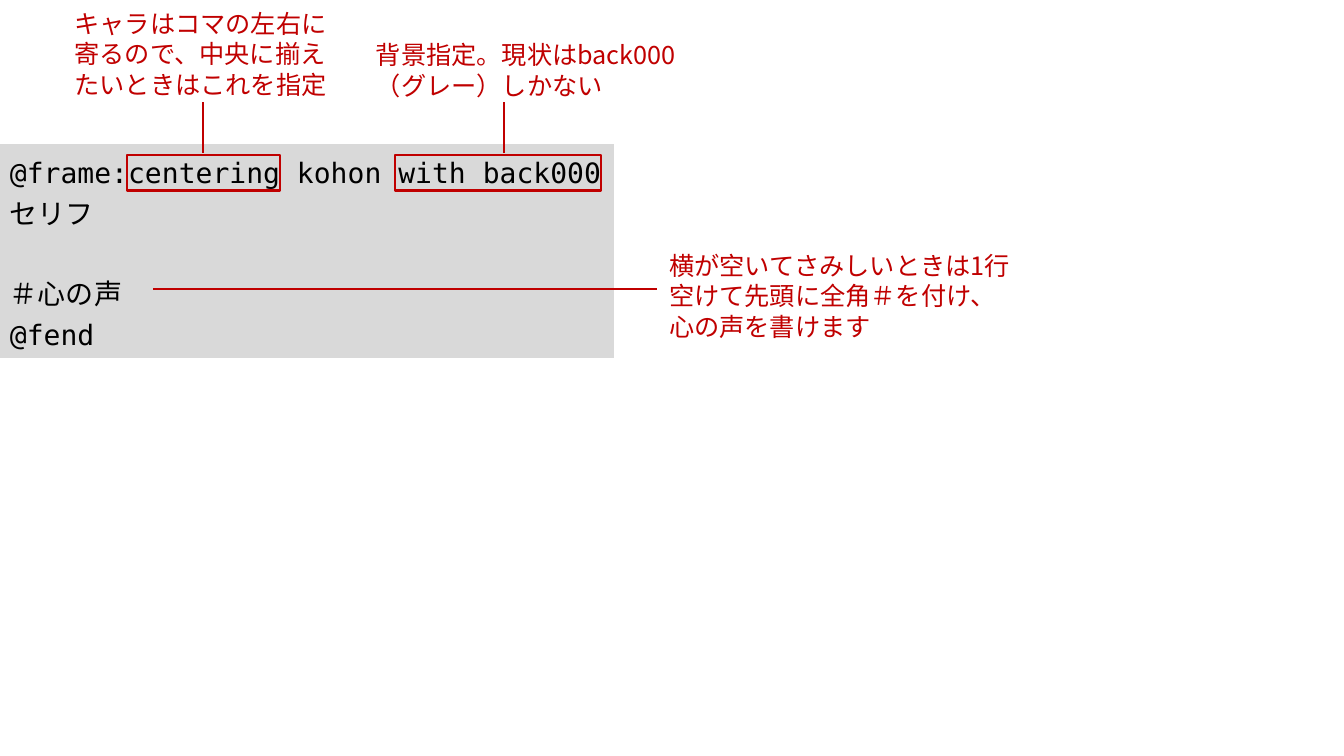
import dataclasses

import pptx
import pptx.dml.color
import pptx.enum.shapes
import pptx.enum.text
import pptx.oxml.ns
import pptx.util

COLORS = {"panel": "D9D9D9", "code": "000000", "accent": "C00000"}
FONTS = {"code": "DejaVu Sans Mono", "japanese": "Noto Sans CJK JP"}
LINE_WIDTH = pptx.util.Pt(1.5)

presentation = pptx.Presentation()
presentation.slide_width = pptx.util.Inches(13.33)
presentation.slide_height = pptx.util.Inches(7.5)
slide = presentation.slides.add_slide(presentation.slide_layouts[6])


@dataclasses.dataclass(frozen=True)
class Area:
    """Left, top, width and height in percent of the slide."""
    left: float
    top: float
    width: float
    height: float

    def lengths(self) -> tuple[int, int, int, int]:
        return (column(self.left), row(self.top),
                column(self.width), row(self.height))


@dataclasses.dataclass(frozen=True)
class Note:
    area: Area
    text: str


@dataclasses.dataclass(frozen=True)
class Leader:
    """Line from the code to its note, in percent of the slide."""
    start: tuple[float, float]
    end: tuple[float, float]


@dataclasses.dataclass(frozen=True)
class TextStyle:
    font: str
    size: float
    spacing: float
    color: str


# At 20 points the first code line fits the panel and its highlights
CODE_STYLE = TextStyle("code", 20, 28.8, "code")
NOTE_STYLE = TextStyle("japanese", 18, 21.8, "accent")

CODE_AREA = Area(0, 19.07, 45.68, 28.27)
CODE_LINES = ["@frame:centering kohon with back000", "セリフ", "＃心の声", "@fend"]
THOUGHT_LINE = 2

NOTES = [
    Note(Area(4.8, 0.4, 21.23, 13.47),
         "キャラはコマの左右に寄るので、中央に揃えたいときはこれを指定"),
    Note(Area(27.23, 4.53, 26.1, 9.47), "背景指定。現状はback000（グレー）しかない"),
    Note(Area(49.05, 32.4, 27.38, 13.47),
         "横が空いてさみしいときは1行空けて先頭に全角＃を付け、心の声を書けます"),
]
HIGHLIGHTS = [Area(9.45, 20.53, 11.4, 4.67), Area(29.4, 20.53, 15.3, 4.67)]
LEADERS = [
    Leader((15.08, 20.27), (15.08, 13.47)),
    Leader((37.5, 20.27), (37.5, 13.47)),
    Leader((11.4, 38.27), (48.9, 38.27)),
]


def column(percent: float) -> int:
    return round(presentation.slide_width * percent / 100)


def row(percent: float) -> int:
    return round(presentation.slide_height * percent / 100)


def color(name: str) -> pptx.dml.color.RGBColor:
    return pptx.dml.color.RGBColor.from_string(COLORS[name])


def apply_format(target: object, values: dict) -> None:
    for name, value in values.items():
        setattr(target, name, value)


def write(shape, lines: list[str], style: TextStyle) -> None:
    frame = shape.text_frame
    apply_format(frame, {
        "text": "\n".join(lines),
        "word_wrap": True,
        "auto_size": pptx.enum.text.MSO_AUTO_SIZE.NONE,
        "vertical_anchor": pptx.enum.text.MSO_ANCHOR.TOP,
    })
    for paragraph in frame.paragraphs:
        apply_format(paragraph, {
            "alignment": pptx.enum.text.PP_ALIGN.LEFT,
            "line_spacing": pptx.util.Pt(style.spacing),
        })
        for run in paragraph.runs:
            apply_format(run.font, {"name": FONTS[style.font],
                                    "size": pptx.util.Pt(style.size)})
            run.font.color.rgb = color(style.color)
            east_asian = pptx.oxml.ns.qn("a:ea")
            latin = run.font._element.find(pptx.oxml.ns.qn("a:latin"))
            element = latin.makeelement(east_asian, {"typeface": FONTS["japanese"]})
            latin.addnext(element)


def add_rectangle(area: Area):
    shape = slide.shapes.add_shape(
        pptx.enum.shapes.MSO_SHAPE.RECTANGLE, *area.lengths())
    shape.shadow.inherit = False
    return shape


def draw_line_format(line) -> None:
    line.color.rgb = color("accent")
    line.width = LINE_WIDTH


def add_highlight(area: Area) -> None:
    shape = add_rectangle(area)
    shape.fill.background()
    draw_line_format(shape.line)


def add_note(note: Note) -> None:
    write(slide.shapes.add_textbox(*note.area.lengths()), [note.text], NOTE_STYLE)


def add_leader(leader: Leader) -> None:
    (left, top), (right, bottom) = leader.start, leader.end
    connector = slide.shapes.add_connector(
        pptx.enum.shapes.MSO_CONNECTOR.STRAIGHT,
        column(left), row(top), column(right), row(bottom))
    draw_line_format(connector.line)
    properties = connector._element.spPr
    properties.append(properties.makeelement(pptx.oxml.ns.qn("a:effectLst"), {}))


# Code panel, with one line left free above the inner voice
panel = add_rectangle(CODE_AREA)
panel.fill.solid()
panel.fill.fore_color.rgb = color("panel")
panel.line.fill.background()
write(panel, CODE_LINES, CODE_STYLE)
thought = panel.text_frame.paragraphs[THOUGHT_LINE]
thought.space_before = pptx.util.Pt(CODE_STYLE.spacing)

# Notes, highlighted code and leader lines
for note in NOTES:
    add_note(note)
for highlight in HIGHLIGHTS:
    add_highlight(highlight)
for leader in LEADERS:
    add_leader(leader)

presentation.save("out.pptx")
